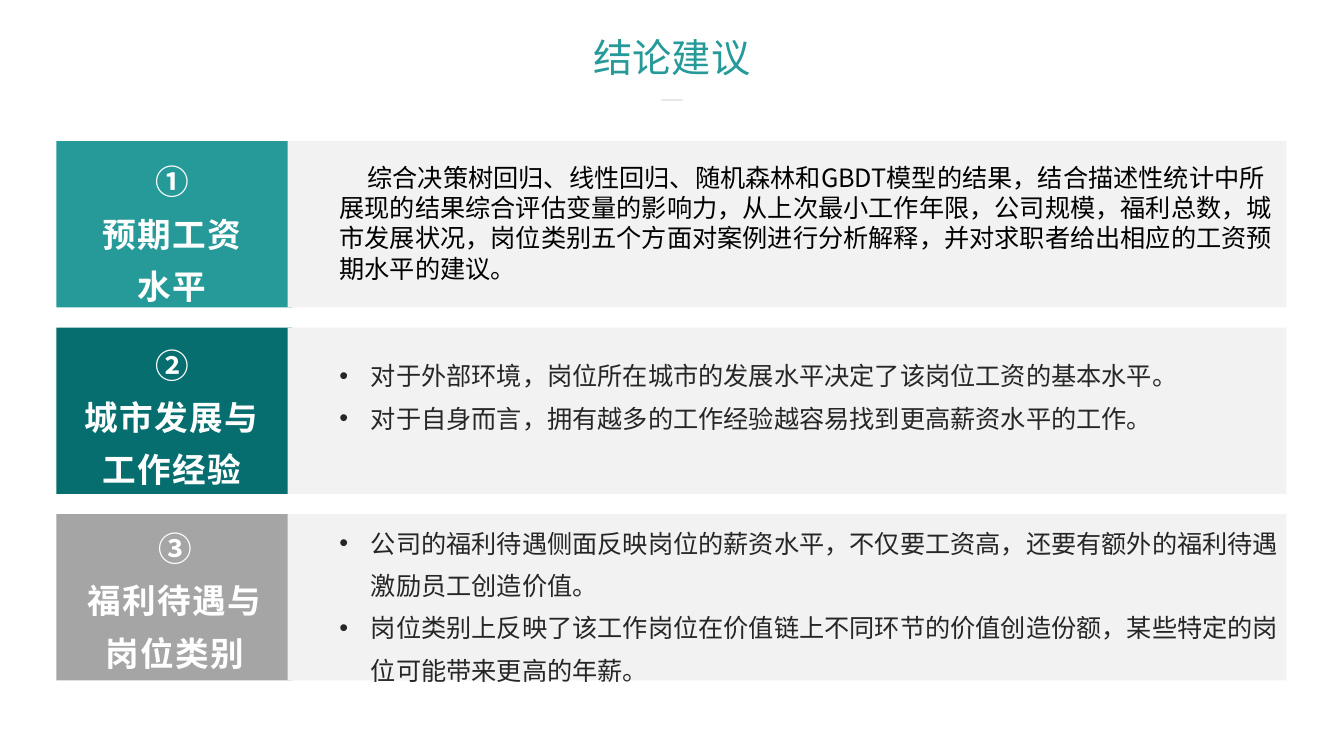
import pptx
import pptx.util
import pptx.dml.color
import pptx.enum.shapes
import pptx.enum.text
import pptx.oxml
import pptx.oxml.ns

Pt = pptx.util.Pt
RGBColor = pptx.dml.color.RGBColor
PP_ALIGN = pptx.enum.text.PP_ALIGN

TEAL = RGBColor(0x26, 0x99, 0x99)
DARK_TEAL = RGBColor(0x06, 0x6E, 0x6E)
GREY = RGBColor(0xA5, 0xA5, 0xA5)
PALE_GREY = RGBColor(0xF2, 0xF2, 0xF2)
LINE_GREY = RGBColor(0x80, 0x80, 0x80)
WHITE = RGBColor(0xFF, 0xFF, 0xFF)
BLACK = RGBColor(0x00, 0x00, 0x00)
INK = RGBColor(0x26, 0x26, 0x26)

BODY_FONT = "Noto Sans CJK JP"
HEADING_FONT = "Noto Sans CJK SC"

ROW_TOP, ROW_PITCH, ROW_HEIGHT = 100.8, 133.2, 118.8
HEADING_TOP, HEADING_PITCH = 103, 131
BULLET_INDENT = 22.5
FIRST_LINE_INDENT = 20

ROWS = [
    {"colour": TEAL, "heading": ["①", "预期工资", "水平"], "heading_left": 45.4,
     "body_top": 112.3, "body_size": (687.6, 94), "body_colour": BLACK, "bulleted": False,
     "body": ["综合决策树回归、线性回归、随机森林和GBDT模型的结果，结合描述性统计中所展现的结果综合评估变量的影响力，从上次最小工作年限，公司规模，福利总数，城市发展状况，岗位类别五个方面对案例进行分析解释，并对求职者给出相应的工资预期水平的建议。"]},
    {"colour": DARK_TEAL, "heading": ["②", "城市发展与工作经验"], "heading_left": 45.4,
     "body_top": 245.5, "body_size": (684, 65), "body_colour": INK, "bulleted": True,
     "body": ["对于外部环境，岗位所在城市的发展水平决定了该岗位工资的基本水平。",
              "对于自身而言，拥有越多的工作经验越容易找到更高薪资水平的工作。"]},
    {"colour": GREY, "heading": ["③", "福利待遇与岗位类别"], "heading_left": 47.5,
     "body_top": 365, "body_size": (687.6, 126), "body_colour": INK, "bulleted": True,
     "body": ["公司的福利待遇侧面反映岗位的薪资水平，不仅要工资高，还要有额外的福利待遇激励员工创造价值。",
              "岗位类别上反映了该工作岗位在价值链上不同环节的价值创造份额，某些特定的岗位可能带来更高的年薪。"]},
]


def append_xml(parent, tag, **attributes):
    child = pptx.oxml.parse_xml(f"<{tag} {pptx.oxml.ns.nsdecls('a')}/>")
    for name, value in attributes.items():
        child.set(name, value)
    parent.append(child)
    return child


def format_span(span, font_name, size, colour, bold=False, spacing=None):
    span.font.size = Pt(size)
    span.font.bold = bold
    span.font.color.rgb = colour
    span.font.name = font_name
    properties = span.font._element
    append_xml(properties, "a:ea", typeface=font_name)
    if spacing:
        properties.set("spc", str(spacing * 100))


def set_indent(para, margin, first_line):
    properties = para._p.get_or_add_pPr()
    properties.set("marL", str(Pt(margin)))
    properties.set("indent", str(Pt(first_line)))
    return properties


def add_paragraphs(frame, texts):
    for index, text in enumerate(texts):
        para = frame.paragraphs[0] if index == 0 else frame.add_paragraph()
        para.text = text
    return frame.paragraphs


def add_text_box(page, left, top, width, height):
    box = page.shapes.add_textbox(Pt(left), Pt(top), Pt(width), Pt(height))
    box.text_frame.word_wrap = True
    box.text_frame.auto_size = pptx.enum.text.MSO_AUTO_SIZE.SHAPE_TO_FIT_TEXT
    return box.text_frame


def add_panel(page, left, top, width, colour):
    panel = page.shapes.add_shape(pptx.enum.shapes.MSO_SHAPE.RECTANGLE,
                                  Pt(left), Pt(top), Pt(width), Pt(ROW_HEIGHT))
    panel.shadow.inherit = False
    panel.fill.solid()
    panel.fill.fore_color.rgb = colour
    panel.line.fill.background()


def add_heading(page, left, top, texts):
    frame = add_text_box(page, left, top, 154.8, 117.4)
    for index, para in enumerate(add_paragraphs(frame, texts)):
        para.alignment = PP_ALIGN.CENTER
        para.line_spacing = 1.3
        spacing = 3 if index == 0 else 1
        format_span(para.runs[0], HEADING_FONT, 24, WHITE, True, spacing)


def add_body(page, row):
    frame = add_text_box(page, 235.4, row["body_top"], *row["body_size"])
    for para in add_paragraphs(frame, row["body"]):
        if row["bulleted"]:
            para.line_spacing = 1.4
            properties = set_indent(para, BULLET_INDENT, -BULLET_INDENT)
            append_xml(properties, "a:buFont", typeface="Arial")
            append_xml(properties, "a:buChar", char="•")
        else:
            set_indent(para, 0, FIRST_LINE_INDENT)
        format_span(para.runs[0], BODY_FONT, 18, row["body_colour"])


def add_title(page, text):
    title = page.shapes.title
    title.left, title.top, title.width, title.height = Pt(66), Pt(23.8), Pt(828), Pt(38.2)
    frame = title.text_frame
    frame.text = text
    frame.auto_size = pptx.enum.text.MSO_AUTO_SIZE.NONE
    frame.vertical_anchor = pptx.enum.text.MSO_ANCHOR.MIDDLE
    para = frame.paragraphs[0]
    para.alignment = PP_ALIGN.CENTER
    para.line_spacing = 0.9
    format_span(para.runs[0], BODY_FONT, 28, TEAL)


def add_title_rule(page):
    rule = page.shapes.add_connector(pptx.enum.shapes.MSO_CONNECTOR.STRAIGHT,
                                     Pt(472.4), Pt(71.4), Pt(487.6), Pt(71.4))
    rule.line.width = Pt(0.5)
    rule.line.color.rgb = LINE_GREY
    colour = rule._element.spPr.find(".//" + pptx.oxml.ns.qn("a:srgbClr"))
    append_xml(colour, "a:alpha", val="50000")
    append_xml(rule._element.spPr, "a:effectLst")


def main():
    deck = pptx.Presentation()
    deck.slide_width, deck.slide_height = Pt(960), Pt(540)
    page = deck.slides.add_slide(deck.slide_layouts.get_by_name("Title Only"))
    add_title(page, "结论建议")
    add_title_rule(page)
    for index, row in enumerate(ROWS):
        top = ROW_TOP + index * ROW_PITCH
        add_panel(page, 40.3, top, 168.5, row["colour"])
        add_panel(page, 205.4, top, 713.5, PALE_GREY)
        add_heading(page, row["heading_left"], HEADING_TOP + index * HEADING_PITCH, row["heading"])
        add_body(page, row)
    deck.save("out.pptx")


if __name__ == "__main__":
    main()
